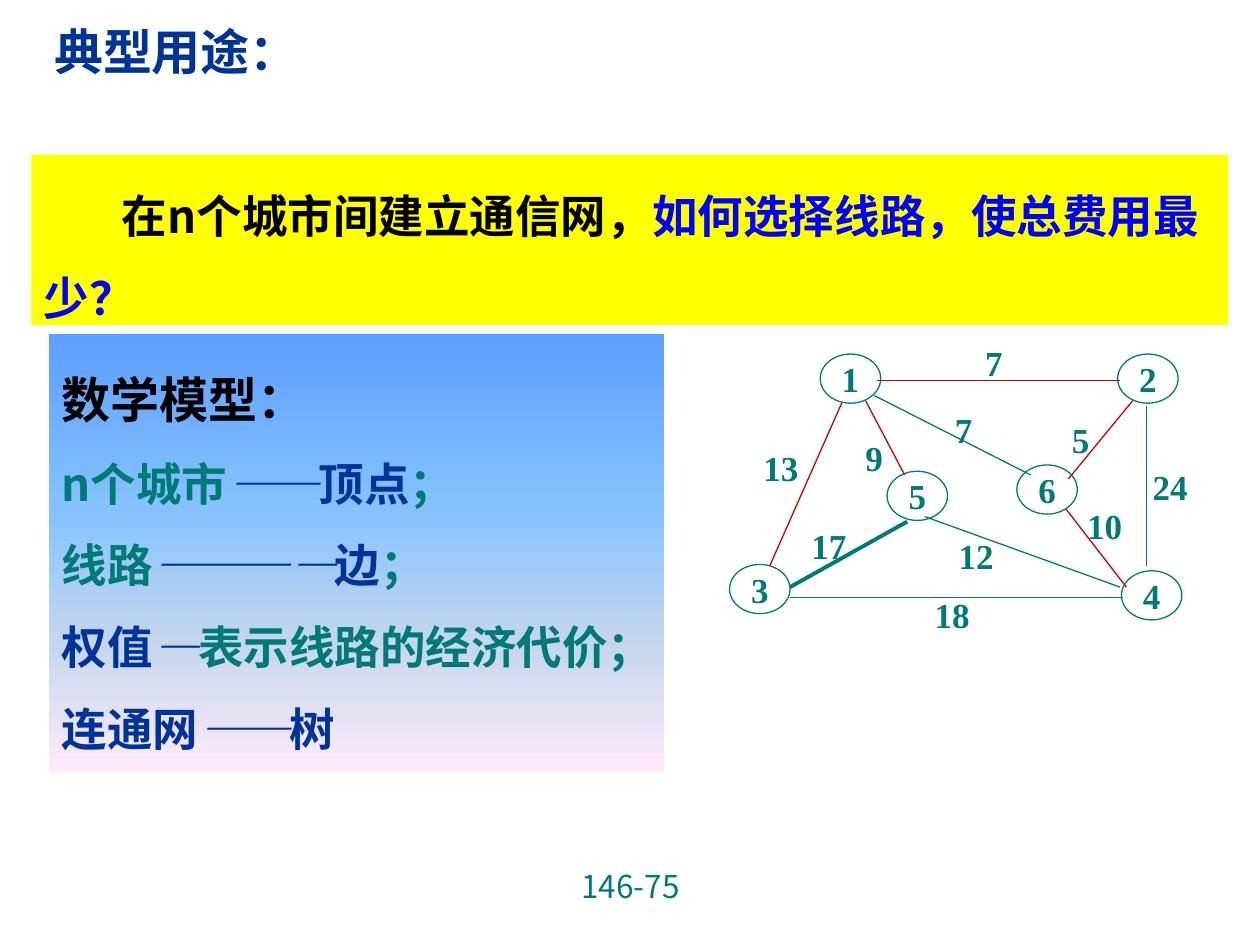
from copy import deepcopy
from dataclasses import dataclass
from typing import NamedTuple

from lxml.etree import SubElement
from pptx import Presentation
from pptx.dml.color import RGBColor
from pptx.enum.shapes import MSO_CONNECTOR as Connector, MSO_SHAPE as Preset
from pptx.enum.text import MSO_ANCHOR as Anchor, MSO_AUTO_SIZE as AutoSize, PP_ALIGN as Align
from pptx.oxml.ns import qn
from pptx.util import Inches, Pt

WIDTH, HEIGHT = Inches(10), Inches(7.5)
COLUMN, ROW = WIDTH // 100, HEIGHT // 75


@dataclass(frozen=True)
class Theme:
    teal: str = "007A77"
    navy: str = "003399"
    blue: str = "0000FF"
    black: str = "000000"
    red: str = "CC0000"
    yellow: str = "FFFF00"
    gradient: tuple = ((0, "5E9EFF"), (40, "85C2FF"), (70, "C4D6EB"), (100, "FFEBFA"))
    heading: float = 28
    body: float = 26
    graph: float = 20
    footer: float = 18
    thin: float = 0.75
    thick: float = 2.25
    chinese: str = "Noto Sans CJK SC"
    number: str = "Noto Sans CJK JP"
    roman: str = "Times New Roman"


THEME = Theme()


class Area(NamedTuple):
    column: float
    row: float
    columns: float
    rows: float


class Span(NamedTuple):
    text: str
    color: str = THEME.teal
    size: float = THEME.body
    font: str = THEME.chinese
    bold: bool = True
    italic: bool = False


class Node(NamedTuple):
    name: str
    column: float
    row: float


class Edge(NamedTuple):
    start: tuple
    end: tuple
    color: str = THEME.teal
    width: float = THEME.thin


class Weight(NamedTuple):
    value: str
    column: float
    row: float


NODES = [
    Node("1", 65.1, 28.1), Node("6", 80.7, 36.9), Node("5", 70.4, 37.4),
    Node("4", 89, 45.3), Node("3", 57.9, 44.8), Node("2", 88.7, 28.1),
]
EDGES = [
    Edge((69.6, 30.2), (88.9, 30.2), THEME.red),
    Edge((66.8, 32), (61.1, 44.9), THEME.red),
    Edge((68.7, 31.8), (71.8, 37.7), THEME.red),
    Edge((62.7, 47.4), (89.1, 47.4)),
    Edge((72, 41.4), (62.7, 46.6), width=THEME.thick),
    Edge((69.4, 31.4), (81.8, 37.7)),
    Edge((91, 32.2), (91, 44.9)),
    Edge((89.9, 31.8), (84.8, 38), THEME.red),
    Edge((84.6, 40.4), (89.4, 46.6), THEME.red),
    Edge((73.4, 41), (88.9, 46.6)),
]
WEIGHTS = [
    Weight("7", 77.2, 26.6), Weight("13", 59.6, 34.9), Weight("17", 63.4, 41.1),
    Weight("9", 67.7, 34.1), Weight("18", 73.2, 46.6), Weight("12", 75.1, 41.9),
    Weight("7", 74.8, 31.9), Weight("5", 84.1, 32.7), Weight("24", 90.5, 36.4),
    Weight("10", 85.3, 39.5),
]


def dash(count: int) -> Span:
    return Span("—" * count, THEME.navy, italic=True)


def navy(text: str) -> Span:
    return Span(text, THEME.navy)


MODEL = [
    [Span("数学模型：", THEME.black, THEME.heading)],
    [Span("n个城市"), dash(2), navy("顶点"), Span("；")],
    [Span("线路"), dash(4), navy("边"), Span("；")],
    [navy("权值"), dash(1), Span("表示线路的经济代价；")],
    [navy("连通网"), dash(2), navy("树")],
]


def place(area: Area) -> tuple:
    return (round(area.column * COLUMN), round(area.row * ROW),
            round(area.columns * COLUMN), round(area.rows * ROW))


def write(box, lines: list, align=Align.LEFT, spacing: float = 1.0, margin: float = 0,
          indent: float = 0, anchor=Anchor.TOP, wrap: bool = True, fit=AutoSize.NONE) -> None:
    frame = box.text_frame
    frame.word_wrap, frame.auto_size, frame.vertical_anchor = wrap, fit, anchor
    for index, spans in enumerate(lines):
        para = frame.add_paragraph() if index else frame.paragraphs[0]
        para.alignment, para.line_spacing = align, spacing
        para.space_before = Pt(0)
        properties = para._p.get_or_add_pPr()
        properties.set("marL", str(round(margin * COLUMN)))
        properties.set("indent", str(round(indent * COLUMN)))
        for span in spans:
            run = para.add_run()
            run.text = span.text
            font = run.font
            font.name, font.size = span.font, Pt(span.size)
            font.bold, font.italic = span.bold, span.italic
            font.color.rgb = RGBColor.from_string(span.color)
            SubElement(run._r.get_or_add_rPr(), qn("a:ea")).set("typeface", span.font)


def add_panel(shapes, area: Area):
    panel = shapes.add_shape(Preset.RECTANGLE, *place(area))
    panel.shadow.inherit = False
    panel.line.fill.background()
    return panel


def fill_gradient(panel, stops: tuple) -> None:
    panel.fill.gradient()
    panel.fill.gradient_angle = 270
    stop_list = panel._element.spPr.find(qn("a:gradFill")).find(qn("a:gsLst"))
    for _ in range(len(stops) - len(stop_list)):
        stop_list.append(deepcopy(stop_list[0]))
    for stop, (percent, color) in zip(panel.fill.gradient_stops, stops):
        stop.position = percent / 100
        stop.color.rgb = RGBColor.from_string(color)


def graph_text(text: str) -> list:
    return [[Span(text, size=THEME.graph, font=THEME.roman)]]


def draw_node(shapes, node: Node) -> None:
    circle = shapes.add_shape(Preset.OVAL, *place(Area(node.column, node.row, 4.8, 3.9)))
    circle.shadow.inherit = False
    circle.fill.background()
    circle.line.color.rgb = RGBColor.from_string(THEME.teal)
    circle.line.width = Pt(THEME.thin)
    write(circle, graph_text(node.name), Align.CENTER, anchor=Anchor.MIDDLE, wrap=False)


def draw_edge(shapes, edge: Edge) -> None:
    ends = [round(value * unit) for point in (edge.start, edge.end)
            for value, unit in zip(point, (COLUMN, ROW))]
    line = shapes.add_connector(Connector.STRAIGHT, *ends)
    line.line.color.rgb = RGBColor.from_string(edge.color)
    line.line.width = Pt(edge.width)
    SubElement(line._element.spPr, qn("a:effectLst"))


def draw_weight(shapes, weight: Weight) -> None:
    columns = 2 + 1.4 * len(weight.value)
    box = shapes.add_textbox(*place(Area(weight.column, weight.row, columns, 4.4)))
    write(box, graph_text(weight.value), anchor=Anchor.MIDDLE, wrap=False,
          fit=AutoSize.SHAPE_TO_FIT_TEXT)


def main() -> None:
    deck = Presentation()
    deck.slide_width, deck.slide_height = WIDTH, HEIGHT
    page = deck.slides.add_slide(deck.slide_layouts.get_by_name("Title Only"))

    title = page.shapes.title
    title.left, title.top, title.width, title.height = place(Area(3.3, 0, 36.5, 5.8))
    write(title, [[Span("典型用途：", THEME.navy, THEME.heading)]], spacing=1.5,
          anchor=Anchor.MIDDLE)

    footer = page.shapes.add_textbox(*place(Area(34.2, 68.3, 31.7, 5.2)))
    write(footer, [[Span("146-75", size=THEME.footer, font=THEME.number, bold=False)]],
          Align.CENTER)

    question = add_panel(page.shapes, Area(2.5, 12.3, 95, 13.5))
    question.fill.solid()
    question.fill.fore_color.rgb = RGBColor.from_string(THEME.yellow)
    write(question, [[Span("在n个城市间建立通信网，", THEME.black),
                      Span("如何选择线路，使总费用最少？", THEME.blue)]],
          spacing=1.5, indent=6.2, fit=AutoSize.SHAPE_TO_FIT_TEXT)

    model = add_panel(page.shapes, Area(3.9, 26.5, 48.8, 34.8))
    fill_gradient(model, THEME.gradient)
    write(model, MODEL, spacing=1.5, margin=4.2, indent=-4.2,
          fit=AutoSize.SHAPE_TO_FIT_TEXT)

    network = page.shapes.add_group_shape().shapes
    for draw, items in ((draw_node, NODES), (draw_edge, EDGES), (draw_weight, WEIGHTS)):
        for item in items:
            draw(network, item)

    deck.save("out.pptx")


if __name__ == "__main__":
    main()
